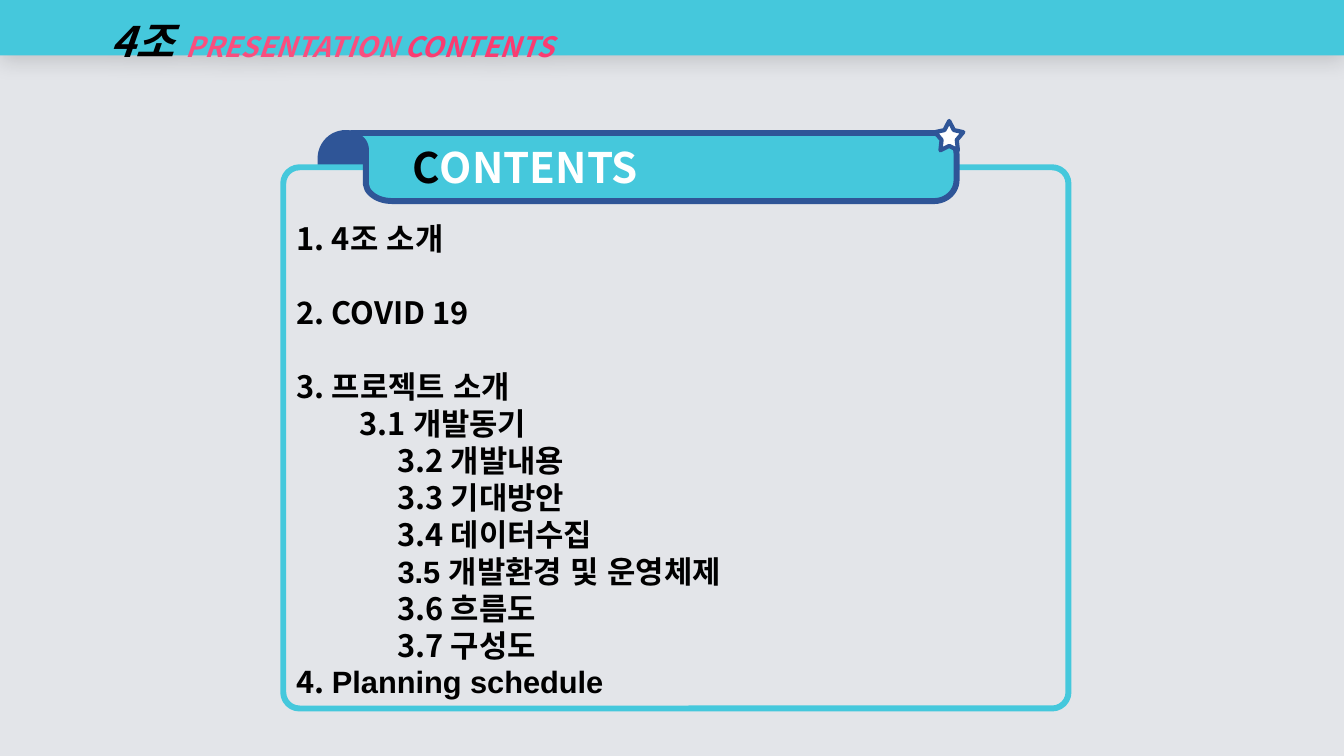
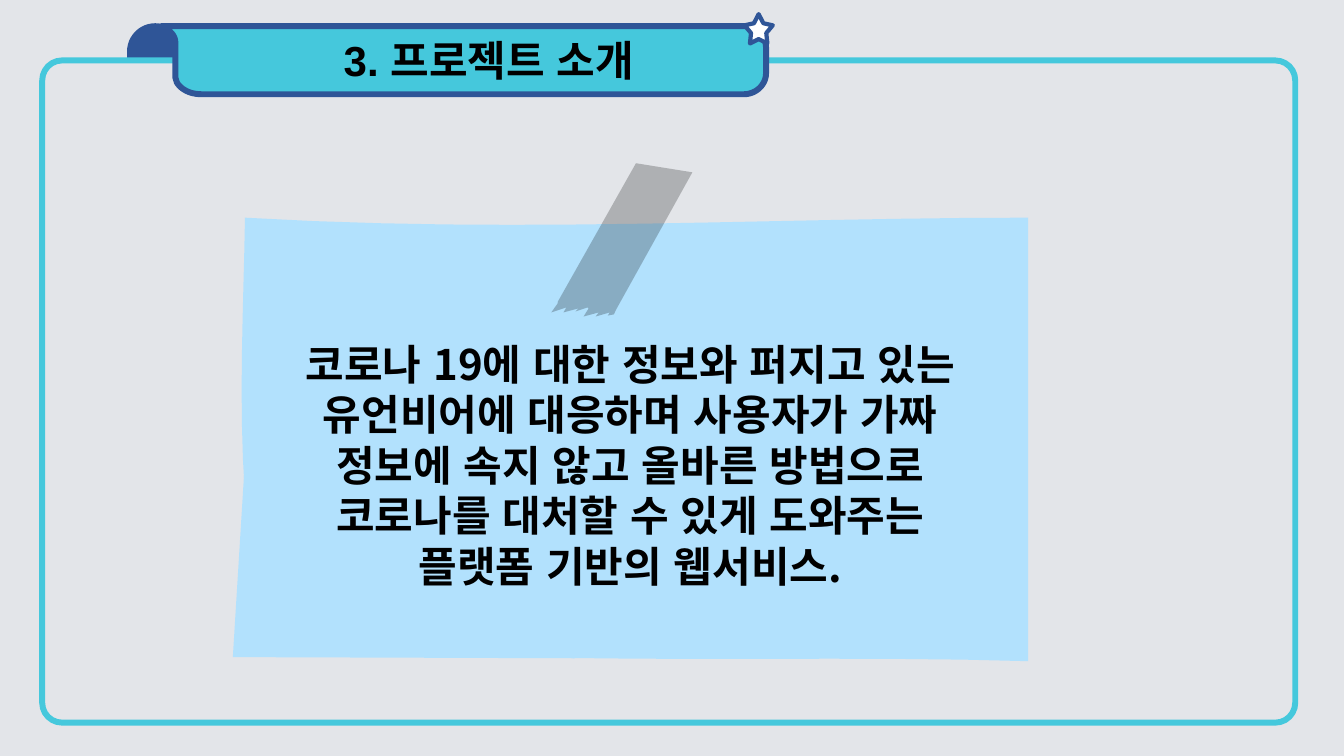
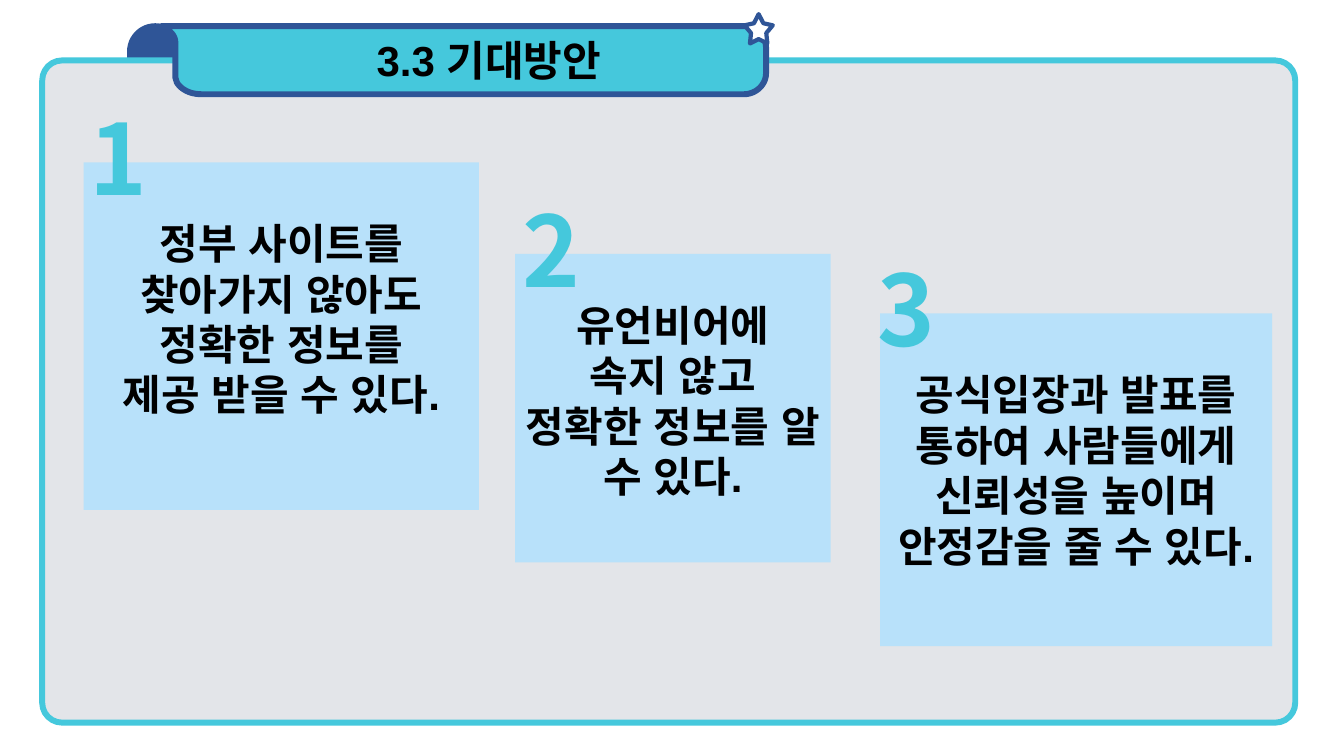
from dataclasses import dataclass
from typing import Optional, Sequence

from lxml.etree import SubElement
from pptx import Presentation
from pptx.dml.color import RGBColor
from pptx.enum.lang import MSO_LANGUAGE_ID
from pptx.enum.shapes import MSO_SHAPE
from pptx.enum.text import MSO_ANCHOR, MSO_AUTO_SIZE, PP_ALIGN
from pptx.oxml.ns import qn
from pptx.util import Pt


# Theme
@dataclass(frozen=True)
class Theme:
    backdrop: str = "E3E5E9"
    cyan: str = "45C8DC"
    navy: str = "2F5597"
    paper: str = "B2E1FD"
    black: str = "000000"
    white: str = "FFFFFF"
    pink: str = "FA4E7E"
    rose: str = "FA3C71"
    korean_font: str = "Noto Sans CJK KR"
    latin_font: str = "Arial"
    list_size: float = 22
    heading_size: float = 30
    caption_size: float = 20
    number_size: float = 70
    border: float = 4.25
    line_height: float = 1.2


THEME = Theme()


@dataclass(frozen=True)
class Box:
    left: float
    top: float
    width: float
    height: float

    def lengths(self) -> tuple:
        return Pt(self.left), Pt(self.top), Pt(self.width), Pt(self.height)


@dataclass(frozen=True)
class Run:
    text: str
    color: str = THEME.black
    font: str = THEME.korean_font
    size: Optional[float] = None


@dataclass(frozen=True)
class Line:
    runs: Sequence[Run]
    indent: float = 0
    space_before: float = 0


@dataclass(frozen=True)
class Card:
    box: Box
    number_left: float
    text_top: float
    lines: Sequence[str]


# Content and outlines; a step of two numbers is a line, of six a curve
FIRST_LEVEL, SECOND_LEVEL = 45, 72
LIST_GAP = THEME.list_size * THEME.line_height

CONTENTS = [
    Line([Run("1. 4조 소개")]),
    Line([Run("2. COVID 19")], space_before=LIST_GAP),
    Line([Run("3. 프로젝트 소개")], space_before=LIST_GAP),
    Line([Run("3.1 개발동기")], FIRST_LEVEL),
    Line([Run("3.2 개발내용")], SECOND_LEVEL),
    Line([Run("3.3 기대방안")], SECOND_LEVEL),
    Line([Run("3.4 데이터수집")], SECOND_LEVEL),
    Line([Run("3.5 개발환경 및 운영체제", font=THEME.latin_font)], SECOND_LEVEL),
    Line([Run("3.6 흐름도")], SECOND_LEVEL),
    Line([Run("3.7 구성도")], SECOND_LEVEL),
    Line([Run("4. "), Run("Planning schedule", font=THEME.latin_font)]),
]

CARDS = [
    Card(Box(59.8, 115.9, 282.2, 248.4), 56.9, 39.6,
         ["정부 사이트를", "찾아가지 않아도", "정확한 정보를", "제공 받을 수 있다."]),
    Card(Box(367.9, 181.4, 225.4, 220.3), 365.8, 32.4,
         ["유언비어에", "속지 않고", "정확한 정보를 알 수 있다."]),
    Card(Box(628.6, 223.9, 280.1, 237.6), 619.9, 39.6,
         ["공식입장과 발표를 통하여 사람들에게 신뢰성을 높이며 안정감을 줄 수 있다."]),
]

SERVICE = ("코로나 19에 대한 정보와 퍼지고 있는 유언비어에 대응하며 사용자가 "
           "가짜 정보에 속지 않고 올바른 방법으로 코로나를 대처할 수 있게 "
           "도와주는 플랫폼 기반의 웹서비스.")

RIBBON = [
    (0, 0), (416.2, 0), (424.8, 0, 432, 6.8, 432, 15.1), (432, 33.8),
    (432, 41.8, 424.8, 48.6, 416.2, 48.6), (28.8, 48.6),
    (20.9, 48.6, 14.4, 45.4, 11.2, 40.3), (10.1, 36.7), (10.1, 11.9),
    (10.1, 7.2, 7.2, 3.6, 2.5, 1.8), (0, 1),
]
NOTE_CORNER = [(175, 328.3), (166.3, 469.4), (410.4, 470.2)]
NOTE = [
    (175, 155.5), (370.1, 167, 547.9, 155.5, 734.4, 155.5), (734.4, 472.3),
    (553, 466.6, 352.1, 478.8, 190.1, 455.8),
    (165.6, 353.5, 173.5, 250.6, 175, 155.5),
]
TAPE = [
    (454.3, 116.6), (494.6, 123.1), (440.6, 220.3), (438.5, 224.6),
    (434.2, 225.4), (435.6, 223.2), (425.5, 226.1), (427.7, 223.2),
    (416.9, 226.1), (420.5, 220.3), (419.8, 219.6), (411.1, 222.5),
    (413.3, 220.3), (402.5, 223.2), (404.6, 219.6), (393.8, 223.2),
    (398.9, 216), (398.2, 216),
]


# Drawing helpers
def paint(shape, fill: str, border: Optional[str] = None,
          width: float = THEME.border, opacity: int = 100) -> None:
    shape.shadow.inherit = False
    shape.fill.solid()
    shape.fill.fore_color.rgb = RGBColor.from_string(fill)
    if opacity < 100:
        color = shape.fill._xPr.find(qn("a:solidFill"))[0]
        SubElement(color, qn("a:alpha"), val=str(opacity * 1000))
    if border:
        shape.line.color.rgb = RGBColor.from_string(border)
        shape.line.width = Pt(width)
    else:
        shape.line.fill.background()


def add_preset(slide, kind: MSO_SHAPE, box: Box, fill: str,
               adjustments: Sequence[float] = (), **style):
    shape = slide.shapes.add_shape(kind, *box.lengths())
    for index, value in enumerate(adjustments):
        shape.adjustments[index] = value
    paint(shape, fill, **style)
    return shape


def flatten(steps: Sequence[tuple], pieces: int = 12) -> list:
    """Turn lines and cubic curves into a list of points."""
    points = [steps[0]]
    for step in steps[1:]:
        if len(step) == 2:
            points.append(step)
            continue
        start, first, second, end = points[-1], step[:2], step[2:4], step[4:]
        for piece in range(1, pieces + 1):
            t = piece / pieces
            points.append(tuple(
                (1 - t) ** 3 * a + 3 * (1 - t) ** 2 * t * b
                + 3 * (1 - t) * t ** 2 * c + t ** 3 * d
                for a, b, c, d in zip(start, first, second, end)))
    return points


def add_outline(slide, steps: Sequence[tuple], fill: str,
                left: float = 0, top: float = 0, **style):
    points = [(Pt(left + x), Pt(top + y)) for x, y in flatten(steps)]
    builder = slide.shapes.build_freeform(*points[0])
    builder.add_line_segments(points[1:], close=True)
    shape = builder.convert_to_shape()
    paint(shape, fill, **style)
    return shape


def write_text(shape, lines: Sequence[Line], *, size: float,
               italic: bool = False, alignment: PP_ALIGN = PP_ALIGN.LEFT,
               anchor: MSO_ANCHOR = MSO_ANCHOR.TOP, line_spacing=None,
               insets: tuple = (7.2, 3.6, 7.2, 3.6)) -> None:
    frame = shape.text_frame
    frame.word_wrap = True
    frame.auto_size = MSO_AUTO_SIZE.NONE
    frame.vertical_anchor = anchor
    (frame.margin_left, frame.margin_top,
     frame.margin_right, frame.margin_bottom) = map(Pt, insets)
    for index, line in enumerate(lines):
        paragraph = frame.add_paragraph() if index else frame.paragraphs[0]
        properties = paragraph._p.get_or_add_pPr()
        properties.set("marL", str(Pt(line.indent)))
        properties.set("indent", "0")
        SubElement(properties, qn("a:buNone"))
        paragraph.alignment = alignment
        paragraph.space_before = Pt(line.space_before)
        paragraph.space_after = Pt(0)
        paragraph.line_spacing = line_spacing or Pt(size * THEME.line_height)
        for part in line.runs:
            run = paragraph.add_run()
            run.text = part.text
            font = run.font
            font.size = Pt(part.size or size)
            font.bold, font.italic = True, italic
            font.color.rgb = RGBColor.from_string(part.color)
            font.language_id = MSO_LANGUAGE_ID.KOREAN
            font.name = part.font
            latin = run._r.rPr.find(qn("a:latin"))
            east_asian = SubElement(run._r.rPr, qn("a:ea"), typeface=THEME.korean_font)
            latin.addnext(east_asian)


def place(slide, placeholder, box: Box) -> None:
    """Move a placeholder and bring it to the front."""
    (placeholder.left, placeholder.top,
     placeholder.width, placeholder.height) = box.lengths()
    slide.shapes._spTree.append(placeholder._element)


# Shared parts
def add_panel(presentation, layout: int, background: str, frame: Box,
              left: float, top: float, title: Sequence[Run],
              alignment: PP_ALIGN = PP_ALIGN.CENTER):
    """Make a slide with a framed panel and a ribbon title at left, top."""
    slide = presentation.slides.add_slide(presentation.slide_layouts[layout])
    slide.background.fill.solid()
    slide.background.fill.fore_color.rgb = RGBColor.from_string(background)
    add_preset(slide, MSO_SHAPE.ROUND_2_SAME_RECTANGLE, Box(left - 22.3, top, 36, 70.6),
               THEME.navy, (0.5, 0), border=THEME.navy)
    add_preset(slide, MSO_SHAPE.ROUNDED_RECTANGLE, frame,
               THEME.backdrop, (0.03,), border=THEME.cyan)
    add_outline(slide, RIBBON, THEME.cyan, left, top, border=THEME.navy)
    add_preset(slide, MSO_SHAPE.STAR_5_POINT, Box(left + 416.6, top - 8.6, 20.2, 20.9),
               THEME.white, (0.27, 1.05, 1.11), border=THEME.navy, width=3)
    place(slide, slide.shapes.title, Box(left, top, 432, 48.6))
    write_text(slide.shapes.title, [Line(title)], size=THEME.heading_size,
               alignment=alignment, anchor=MSO_ANCHOR.MIDDLE,
               insets=(43.2, 0, 7.2, 0))
    return slide


def add_band(slide) -> None:
    band = add_preset(slide, MSO_SHAPE.RECTANGLE, Box(0, 0, 960, 39.6), THEME.cyan)
    effects = band._element.spPr.find(qn("a:effectLst"))
    shadow = SubElement(effects, qn("a:outerShdw"), blurRad=str(Pt(15)),
                        dist=str(Pt(3)), dir="5400000", algn="t", rotWithShape="0")
    color = SubElement(shadow, qn("a:srgbClr"), val=THEME.black)
    SubElement(color, qn("a:alpha"), val="15000")
    runs = [Run("4조 "),
            Run("PRESENTATION ", THEME.pink, size=THEME.caption_size),
            Run("CONTENTS", THEME.rose, size=THEME.caption_size)]
    write_text(band, [Line(runs, indent=72)], size=THEME.heading_size, italic=True,
               anchor=MSO_ANCHOR.MIDDLE, line_spacing=1.5)


def add_card(slide, number: int, card: Card) -> None:
    panel = add_preset(slide, MSO_SHAPE.RECTANGLE, card.box, THEME.paper, opacity=87)
    write_text(panel, [Line([Run(text, font=THEME.latin_font)]) for text in card.lines],
               size=THEME.heading_size, alignment=PP_ALIGN.CENTER,
               insets=(7.2, card.text_top, 7.2, 3.6))
    label_box = Box(card.number_left, card.box.top - 49.7, 60, 92)
    label = slide.shapes.add_textbox(*label_box.lengths())
    write_text(label, [Line([Run(str(number), THEME.cyan)])], size=THEME.number_size)


# Slides
def add_contents_slide(presentation) -> None:
    slide = add_panel(presentation, 1, THEME.backdrop, Box(202.3, 119.5, 560.9, 386.6),
                      251.3, 95, [Run("C"), Run("ONTENTS", THEME.white)], PP_ALIGN.LEFT)
    body = slide.placeholders[1]
    place(slide, body, Box(212, 157, 540, 346))
    write_text(body, CONTENTS, size=THEME.list_size, insets=(0, 0, 0, 0))
    add_band(slide)


def add_section_slide(presentation, title: str, background: str):
    return add_panel(presentation, 5, background, Box(30.2, 43.2, 895, 473),
                     115.2, 18.7, [Run(title, font=THEME.latin_font)])


def add_project_slide(presentation) -> None:
    slide = add_section_slide(presentation, "3. 프로젝트 소개", THEME.backdrop)
    for outline in (NOTE_CORNER, NOTE):
        add_outline(slide, outline, THEME.paper)
    add_outline(slide, TAPE, THEME.black, opacity=23)
    summary = slide.shapes.add_textbox(*Box(210.2, 238.3, 480.2, 190).lengths())
    write_text(summary, [Line([Run(SERVICE)])], size=THEME.heading_size,
               alignment=PP_ALIGN.CENTER)


def add_expectations_slide(presentation) -> None:
    slide = add_section_slide(presentation, "3.3 기대방안", THEME.white)
    for number, card in enumerate(CARDS, start=1):
        add_card(slide, number, card)


def main() -> None:
    presentation = Presentation()
    presentation.slide_width, presentation.slide_height = Pt(960), Pt(540)
    add_contents_slide(presentation)
    add_project_slide(presentation)
    add_expectations_slide(presentation)
    presentation.save("out.pptx")


if __name__ == "__main__":
    main()
